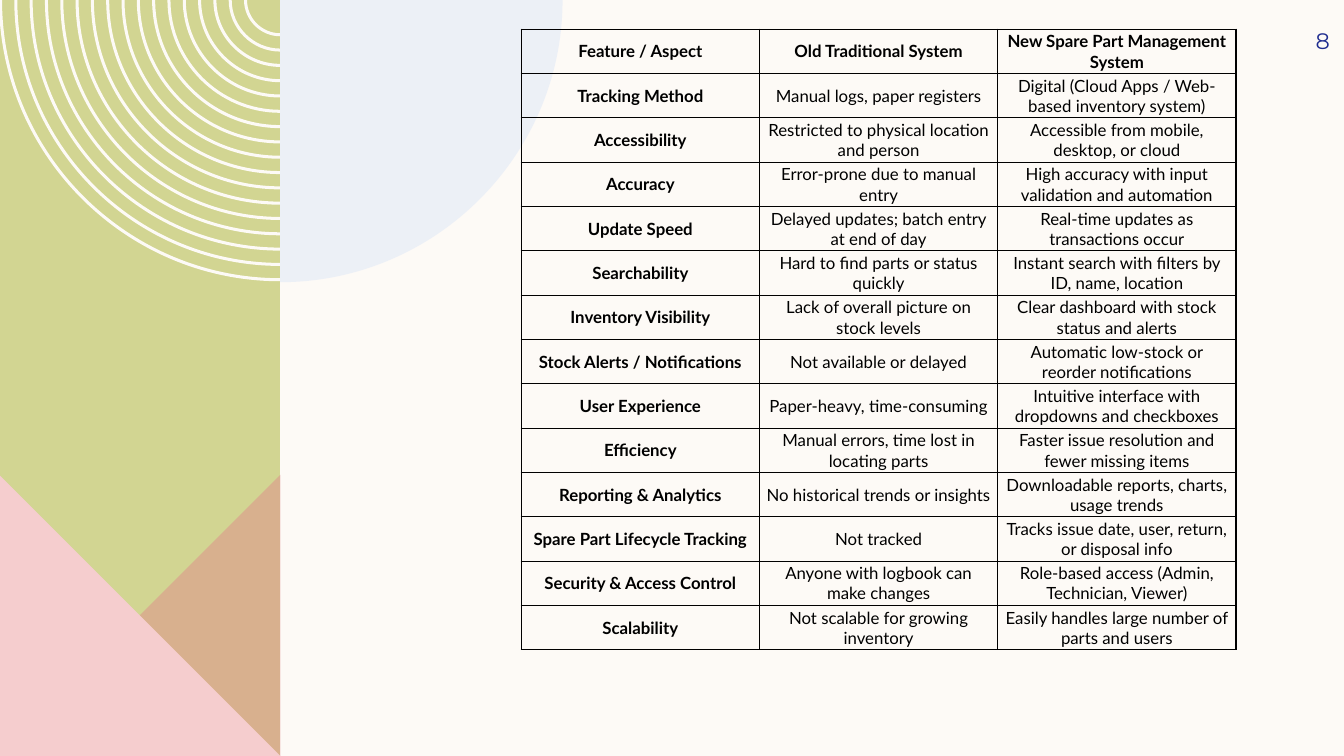
from dataclasses import dataclass

from lxml.etree import SubElement
from pptx import Presentation
from pptx.dml.color import RGBColor as Rgb
from pptx.enum.text import MSO_ANCHOR as Anchor, PP_ALIGN as Align
from pptx.oxml.ns import qn
from pptx.util import Inches, Pt


@dataclass(frozen=True)
class Theme:
    paper: str = "FDFAF6"
    green: str = "D2D592"
    rose: str = "DE8C8C"
    pink: str = "F5CDCE"
    sky: str = "DDE7F6"
    navy: str = "1F2C8F"
    black: str = "000000"
    body: str = "Lato"
    digit: str = "Montserrat"
    small: int = 12
    large: int = 16


THEME = Theme()
LEFT, EDGE, BASE = -0.01, 2.78, 7.5  # sides and foot of the green panel
PEAK = 4.71  # top of the triangles
BEND = 0.55  # handle length of a quarter circle, per unit of radius

ROWS = [
    ("Feature / Aspect", "Old Traditional System", "New Spare Part Management System"),
    ("Tracking Method", "Manual logs, paper registers",
     "Digital (Cloud Apps / Web-based inventory system)"),
    ("Accessibility", "Restricted to physical location and person",
     "Accessible from mobile, desktop, or cloud"),
    ("Accuracy", "Error-prone due to manual entry",
     "High accuracy with input validation and automation"),
    ("Update Speed", "Delayed updates; batch entry at end of day",
     "Real-time updates as transactions occur"),
    ("Searchability", "Hard to find parts or status quickly",
     "Instant search with filters by ID, name, location"),
    ("Inventory Visibility", "Lack of overall picture on stock levels",
     "Clear dashboard with stock status and alerts"),
    ("Stock Alerts / Notifications", "Not available or delayed",
     "Automatic low-stock or reorder notifications"),
    ("User Experience", "Paper-heavy, time-consuming",
     "Intuitive interface with dropdowns and checkboxes"),
    ("Efficiency", "Manual errors, time lost in locating parts",
     "Faster issue resolution and fewer missing items"),
    ("Reporting & Analytics", "No historical trends or insights",
     "Downloadable reports, charts, usage trends"),
    ("Spare Part Lifecycle Tracking", "Not tracked",
     "Tracks issue date, user, return, or disposal info"),
    ("Security & Access Control", "Anyone with logbook can make changes",
     "Role-based access (Admin, Technician, Viewer)"),
    ("Scalability", "Not scalable for growing inventory",
     "Easily handles large number of parts and users"),
]


def write(frame, words, *, font=THEME.body, size=THEME.small, color=THEME.black,
          bold=False, align=Align.CENTER):
    para = frame.paragraphs[0]
    para.alignment = align
    run = para.add_run()
    run.text = words
    run.font.name = font
    run.font.size = Pt(size)
    run.font.bold = bold
    run.font.color.rgb = Rgb.from_string(color)


def pad(box, left, top, right, foot):
    box.margin_left, box.margin_top = Inches(left), Inches(top)
    box.margin_right, box.margin_bottom = Inches(right), Inches(foot)
    box.vertical_anchor = Anchor.MIDDLE


def outline(slide, loops, color, alpha=None):
    """Fill one freeform made of closed loops of points in inches."""
    pen = None
    for loop in loops:
        first, *rest = [(Inches(x), Inches(y)) for x, y in loop]
        if pen is None:
            pen = slide.shapes.build_freeform(*first)
        else:
            pen.move_to(*first)
        pen.add_line_segments(rest, close=True)
    shape = pen.convert_to_shape()
    shape.shadow.inherit = False
    shape.line.fill.background()
    shape.fill.solid()
    shape.fill.fore_color.rgb = Rgb.from_string(color)
    if alpha is not None:
        tint = shape.fill._xPr.find(".//" + qn("a:srgbClr"))
        SubElement(tint, qn("a:alpha"), val=str(alpha * 1000))
    return shape


def curve(shape):
    """Keep one side in four straight and merge the next three into a curve."""
    sides = list(shape._element.iter(qn("a:lnTo")))
    for i in range(0, len(sides), 4):
        bend, *others = sides[i + 1:i + 4]
        bend.tag = qn("a:cubicBezTo")
        for side in others:
            bend.append(side[0])
            side.getparent().remove(side)


def arc(radius, side):
    """Ends and handles of a quarter circle at the panel's corner; side is -1 or 1."""
    grip = BEND * radius
    return [(EDGE + side * x, y) for x, y in
            ((radius, 0), (radius, grip), (grip, radius), (0, radius))]


def rings(slide, count=17, outer=2.79, inner=0.36, width=0.03):
    step = (outer - inner) / (count - 1)
    loops = []
    for i in range(count):
        radius = outer - step * i
        rim = arc(radius, -1)
        loops.append(rim[:1] + arc(radius - width, -1) + rim[::-1])
    curve(outline(slide, loops, THEME.paper))


def border(cell):
    props = cell._tc.get_or_add_tcPr()
    for side in ("lnL", "lnR", "lnT", "lnB"):
        line = SubElement(props, qn(f"a:{side}"), w=str(Pt(1)))
        fill = SubElement(line, qn("a:solidFill"))
        SubElement(fill, qn("a:srgbClr"), val=THEME.black)


def grid(slide, rows, left, top, wide, high):
    table = slide.shapes.add_table(
        len(rows), len(rows[0]), Inches(left), Inches(top),
        Inches(wide), Inches(high * len(rows))).table
    table.first_row = table.horz_banding = False
    for r, row in enumerate(rows):
        for c, words in enumerate(row):
            cell = table.cell(r, c)
            border(cell)
            cell.fill.background()
            pad(cell, 0.05, 0.02, 0.05, 0.02)
            write(cell.text_frame, words, bold=r == 0 or c == 0)


def number(slide, words):
    box = slide.shapes.add_textbox(Inches(12.02), Inches(0.14), Inches(1.17), Inches(0.52))
    frame = box.text_frame
    frame.word_wrap = True
    pad(frame, 0.1, 0.05, 0, 0.05)
    write(frame, words, font=THEME.digit, size=THEME.large,
          color=THEME.navy, align=Align.RIGHT)


def main():
    deck = Presentation()
    deck.slide_width, deck.slide_height = Inches(13.33), Inches(BASE)
    slide = deck.slides.add_slide(deck.slide_layouts[6])
    back = slide.background.fill
    back.solid()
    back.fore_color.rgb = Rgb.from_string(THEME.paper)

    outline(slide, [[(LEFT, 0), (EDGE, 0), (EDGE, BASE), (LEFT, BASE)]], THEME.green)
    rings(slide)
    outline(slide, [[(EDGE, PEAK), (EDGE, BASE), (LEFT, BASE)]], THEME.rose, alpha=50)
    outline(slide, [[(LEFT, PEAK), (EDGE, BASE), (LEFT, BASE)]], THEME.pink)
    curve(outline(slide, [[(EDGE, 0)] + arc(2.8, 1)], THEME.sky, alpha=50))
    number(slide, "8")
    grid(slide, ROWS, left=5.17, top=0.29, wide=7.09, high=0.34)
    deck.save("out.pptx")


if __name__ == "__main__":
    main()
